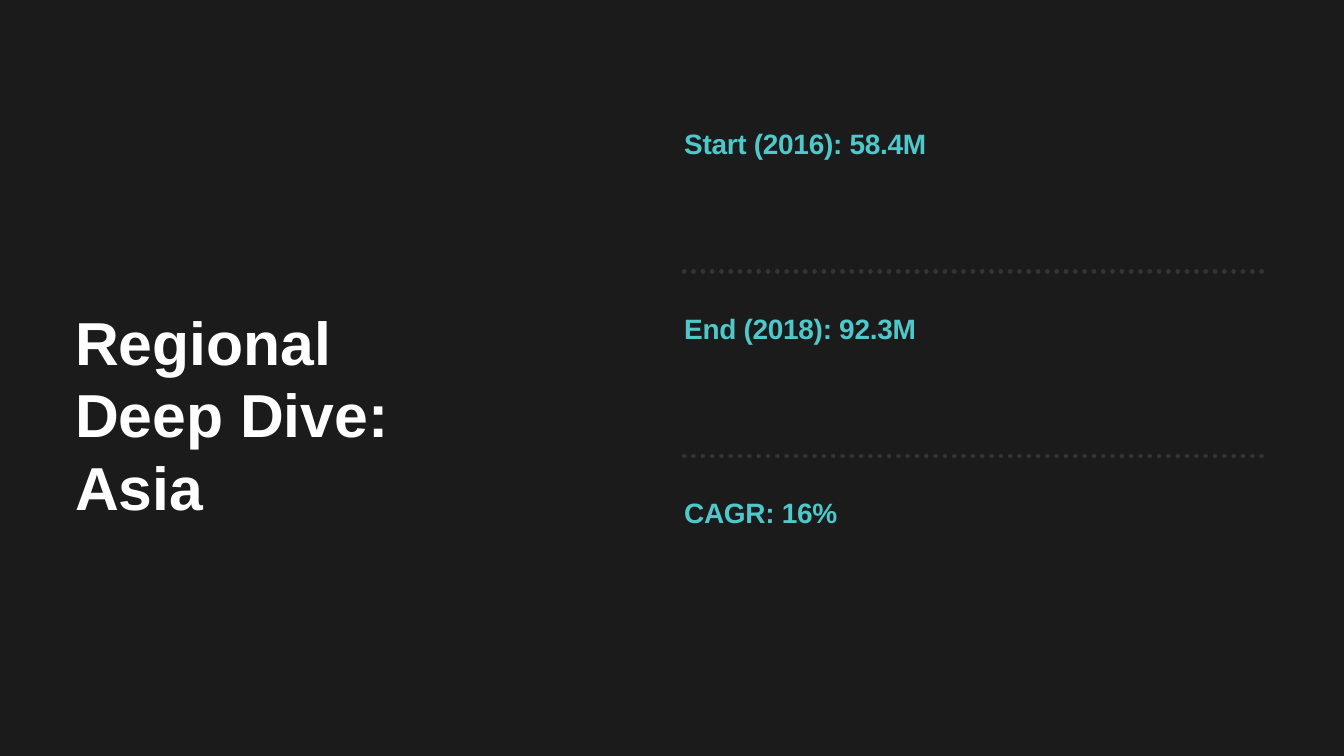
import dataclasses

import lxml.etree
import pptx
import pptx.dml.color
import pptx.enum.dml
import pptx.enum.shapes
import pptx.enum.text
import pptx.oxml.ns
import pptx.slide
import pptx.util

Cm = pptx.util.Cm
Pt = pptx.util.Pt

# Palette
DARK, GREY, TEAL, WHITE = "1B1B1B", "343434", "4EC8CA", "FFFFFF"

# Grid of the right column, in cm
LEFT, TOP, STEP = 25.86, 4.78, 6.985
RULE_TOP, RULE_WIDTH = 10.26, 22.1
FACTS = ["Start (2016): 58.4M", "End (2018): 92.3M", "CAGR: 16%"]


@dataclasses.dataclass
class Label:
    text: str
    left: float
    top: float
    width: float
    height: float
    size: float
    pitch: float
    color: str
    track: int = 0


@dataclasses.dataclass
class Rule:
    left: float
    top: float
    width: float


def paint(color: pptx.dml.color.ColorFormat, code: str) -> None:
    color.rgb = pptx.dml.color.RGBColor.from_string(code)


def apply(target: object, values: dict) -> None:
    for name, value in values.items():
        setattr(target, name, value)


def add_label(slide: pptx.slide.Slide, label: Label) -> None:
    box = slide.shapes.add_textbox(
        Cm(label.left), Cm(label.top), Cm(label.width), Cm(label.height))
    frame = box.text_frame
    apply(frame, {
        "margin_left": 0, "margin_top": 0, "margin_right": 0,
        "margin_bottom": 0, "word_wrap": True,
        "auto_size": pptx.enum.text.MSO_AUTO_SIZE.SHAPE_TO_FIT_TEXT,
    })
    para = frame.paragraphs[0]
    para.line_spacing = Pt(label.pitch)
    run = para.add_run()
    run.text = label.text
    apply(run.font, {"name": "Arial", "size": Pt(label.size), "bold": True})
    paint(run.font.color, label.color)
    if label.track:
        run.font._element.set("spc", str(label.track))


def add_rule(slide: pptx.slide.Slide, rule: Rule) -> None:
    line = slide.shapes.add_connector(
        pptx.enum.shapes.MSO_CONNECTOR.STRAIGHT,
        Cm(rule.left), Cm(rule.top),
        Cm(rule.left + rule.width), Cm(rule.top))
    paint(line.line.color, GREY)
    apply(line.line, {
        "width": Pt(5),
        "dash_style": pptx.enum.dml.MSO_LINE.ROUND_DOT,
    })
    # Round dots, no shadow
    props = line._element.spPr
    props.find(pptx.oxml.ns.qn("a:ln")).set("cap", "rnd")
    lxml.etree.SubElement(props, pptx.oxml.ns.qn("a:effectLst"))


def main() -> None:
    deck = pptx.Presentation()
    apply(deck, {"slide_width": Cm(50.8), "slide_height": Cm(28.58)})
    slide = deck.slides.add_slide(deck.slide_layouts[6])
    fill = slide.background.fill
    fill.solid()
    paint(fill.fore_color, DARK)

    # Key figures
    for row, fact in enumerate(FACTS):
        add_label(slide, Label(fact, LEFT, TOP + row * STEP, 21.23, 1.27,
                               30, 36, TEAL, -30))

    # Dotted rules between the figures
    for row in range(len(FACTS) - 1):
        add_rule(slide, Rule(LEFT, RULE_TOP + row * STEP, RULE_WIDTH))

    # Title
    add_label(slide, Label("Regional Deep Dive: Asia", 2.84, 11.51, 15.85,
                           5.54, 65, 78, WHITE))

    deck.save("out.pptx")


if __name__ == "__main__":
    main()
